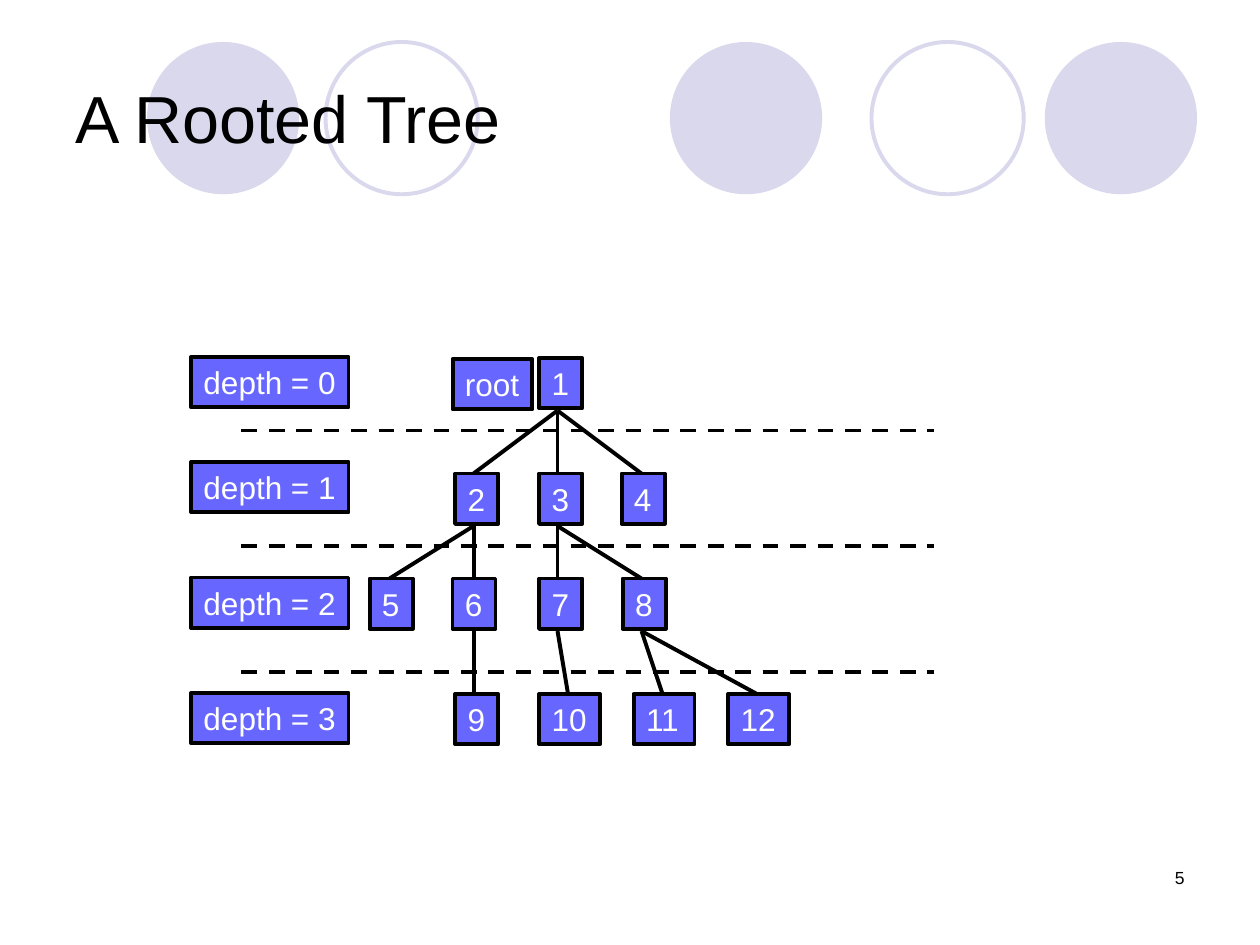
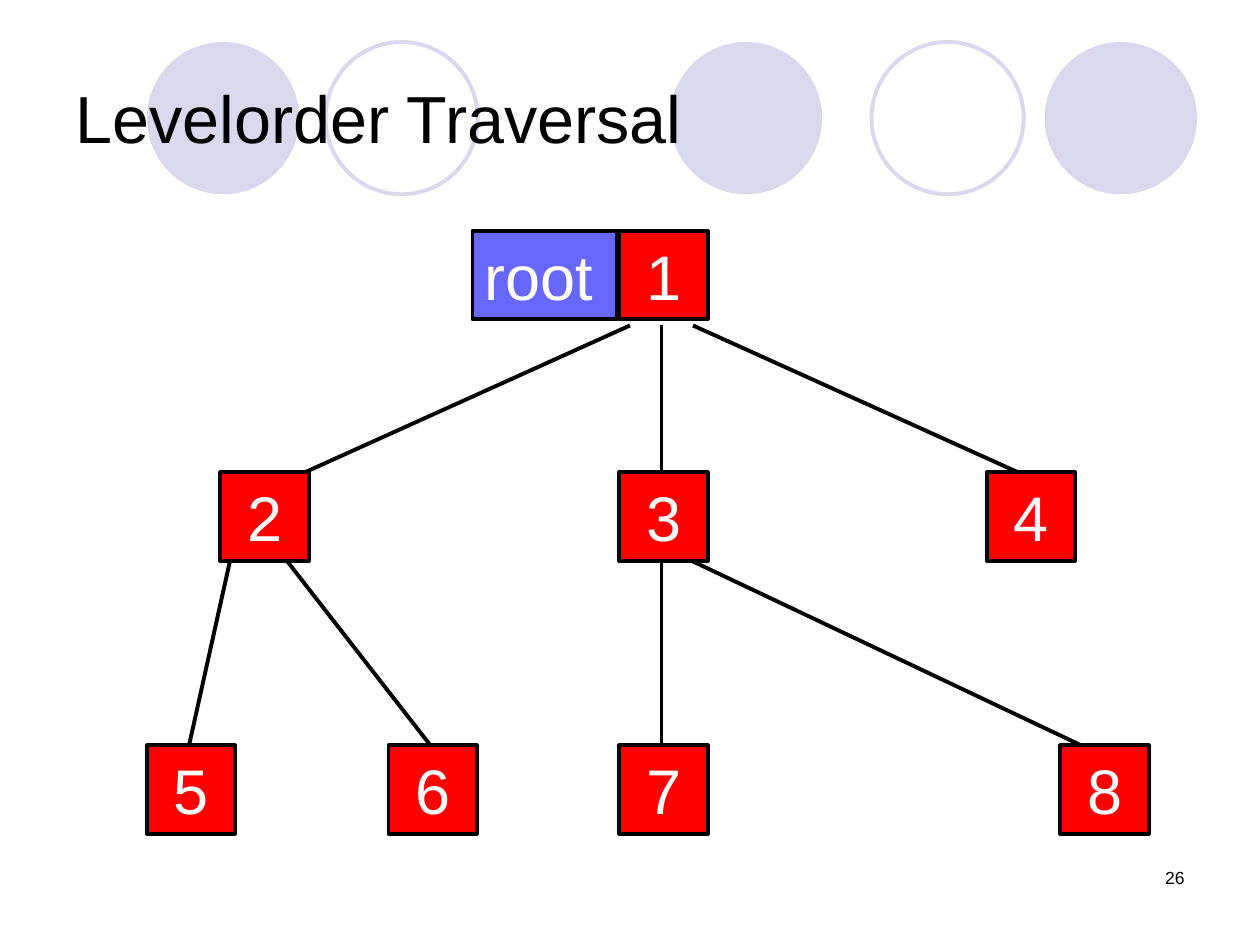
from lxml import etree
from pptx import Presentation
from pptx.dml.color import RGBColor
from pptx.enum.dml import MSO_LINE
from pptx.enum.shapes import MSO_CONNECTOR, MSO_SHAPE
from pptx.enum.text import MSO_ANCHOR, MSO_AUTO_SIZE, PP_ALIGN
from pptx.oxml.ns import qn
from pptx.util import Inches, Pt

BLACK = RGBColor(0x00, 0x00, 0x00)
WHITE = RGBColor(0xFF, 0xFF, 0xFF)
LAVENDER = RGBColor(0xD9, 0xD8, 0xEC)
BLUE = RGBColor(0x67, 0x67, 0xFF)
RED = RGBColor(0xFF, 0x00, 0x00)

OVAL, RECTANGLE = MSO_SHAPE.OVAL, MSO_SHAPE.RECTANGLE
STRAIGHT, DASH = MSO_CONNECTOR.STRAIGHT, MSO_LINE.DASH
TOP, MIDDLE = MSO_ANCHOR.TOP, MSO_ANCHOR.MIDDLE
LEFT, CENTER, RIGHT = PP_ALIGN.LEFT, PP_ALIGN.CENTER, PP_ALIGN.RIGHT
FIT_SHAPE, FIT_NONE = MSO_AUTO_SIZE.SHAPE_TO_FIT_TEXT, MSO_AUTO_SIZE.NONE

FONT = "Arial"
LINE_WIDTH = Pt(2.25)
COLUMNS, ROWS = 120, 90

CIRCLE_TOP, CIRCLE_SIZE = 4, 14.5
FILLED_CIRCLES = (63.8, 99.5, 14)
OPEN_CIRCLES = (83, 31)


def write_text(shape, text, size=18, color=WHITE, align=LEFT, anchor=TOP,
               wrap=True, grow=False):
    frame = shape.text_frame
    frame.word_wrap = wrap
    frame.auto_size = FIT_SHAPE if grow else FIT_NONE
    frame.vertical_anchor = anchor
    paragraph = frame.paragraphs[0]
    paragraph.alignment = align
    run = paragraph.add_run()
    run.text = text
    run.font.name = FONT
    run.font.size = Pt(size)
    run.font.color.rgb = color


class Deck:
    """Shared style and the current slide; lengths are grid columns and rows."""

    def __init__(self, presentation):
        self.presentation = presentation
        self.column = presentation.slide_width / COLUMNS
        self.row = presentation.slide_height / ROWS
        self.slide = None

    def place(self, *lengths):
        """Turn alternating columns and rows into slide lengths."""
        units = (self.column, self.row)
        return [round(length * units[index % 2])
                for index, length in enumerate(lengths)]

    def new_slide(self, title, number):
        layout = self.presentation.slide_layouts[6]
        self.slide = self.presentation.slides.add_slide(layout)
        for left in FILLED_CIRCLES:
            self.circle(left, filled=True)
        for left in OPEN_CIRCLES:
            self.circle(left, filled=False)
        self.text(title, 6, 3.6, 108, 15, size=38, color=BLACK, anchor=MIDDLE)
        self.text(str(number), 86, 82, 28, 6, size=10, color=BLACK, align=RIGHT)

    def text(self, text, left, top, width, height, **text_format):
        box = self.slide.shapes.add_textbox(*self.place(left, top, width, height))
        write_text(box, text, **text_format)

    def shape(self, kind, left, top, width, height, fill=None, line=None):
        shape = self.slide.shapes.add_shape(
            kind, *self.place(left, top, width, height))
        shape.shadow.inherit = False
        if fill is None:
            shape.fill.background()
        else:
            shape.fill.solid()
            shape.fill.fore_color.rgb = fill
        if line is None:
            shape.line.fill.background()
        else:
            shape.line.color.rgb = line
            shape.line.width = LINE_WIDTH
        return shape

    def circle(self, left, filled):
        paint = {"fill": LAVENDER} if filled else {"line": LAVENDER}
        self.shape(OVAL, left, CIRCLE_TOP, CIRCLE_SIZE, CIRCLE_SIZE, **paint)

    def box(self, text, left, top, width, height, fill=BLUE, **text_format):
        shape = self.shape(RECTANGLE, left, top, width, height, fill, BLACK)
        write_text(shape, text, grow=True, **text_format)

    def line(self, start, end, dash=None):
        connector = self.slide.shapes.add_connector(
            STRAIGHT, *self.place(*start, *end))
        connector.line.color.rgb = BLACK
        connector.line.width = LINE_WIDTH
        if dash is not None:
            connector.line.dash_style = dash
        properties = connector.element.find(qn("p:spPr"))
        etree.SubElement(properties, qn("a:effectLst"))


def build_rooted_tree(deck):
    deck.new_slide("A Rooted Tree", 5)
    box_height, edge_drop = 4.8, 5
    level_tops = (34.1, 45.1, 55.1, 66.1)
    # node: (level, left of its box, column where its edges meet)
    nodes = {
        1: (0, 51.35, 53.1),
        2: (1, 43.35, 45.1), 3: (1, 51.35, 53.1), 4: (1, 59.2, 61.1),
        5: (2, 35.2, 37.1), 6: (2, 43.1, 45.1),
        7: (2, 51.35, 53.1), 8: (2, 59.3, 61.1),
        9: (3, 43.35, 45.1), 10: (3, 51.35, 54.1),
        11: (3, 60.35, 63.1), 12: (3, 69.35, 72.1),
    }
    children = {1: (2, 3, 4), 2: (5, 6), 3: (7, 8), 6: (9,), 7: (10,), 8: (11, 12)}

    for node, (level, left, _) in nodes.items():
        width = 4.1 if node < 10 else 5.8
        deck.box(str(node), left, level_tops[level], width, box_height, wrap=False)
    for parent, offspring in children.items():
        level, _, start = nodes[parent]
        for child in offspring:
            child_level, _, end = nodes[child]
            deck.line((start, level_tops[level] + edge_drop),
                      (end, level_tops[child_level]))

    deck.box("root", 43.1, 34.2, 7.6, box_height, wrap=False)
    for depth, top in enumerate((34, 44, 55, 66)):
        deck.box(f"depth = {depth}", 18.2, top, 15, box_height, wrap=False)
    for row in (41, 52, 64):
        deck.line((23, row), (89, row), dash=DASH)


def build_levelorder_traversal(deck):
    deck.new_slide("Levelorder Traversal", 26)
    box_size = 8.4
    level_tops = (22, 45, 71)
    level_bottoms = (31, 53)
    level_lefts = ((59,), (21, 59, 94), (14, 37, 59, 101))
    # columns where each edge leaves a level and reaches the next
    level_edges = (((63, 63), (60, 29), (66, 97)),
                   ((22, 18), (27, 41), (63, 63), (65, 103)))

    for bottom, next_top, edges in zip(level_bottoms, level_tops[1:], level_edges):
        for start, end in edges:
            deck.line((start, bottom), (end, next_top))
    deck.box("root", 45, level_tops[0], 13.8, box_size, size=36)
    node = 1
    for top, lefts in zip(level_tops, level_lefts):
        for left in lefts:
            deck.box(str(node), left, top, box_size, box_size, fill=RED,
                     size=36, align=CENTER)
            node += 1


def main():
    presentation = Presentation()
    presentation.slide_width = Inches(10)
    presentation.slide_height = Inches(7.5)
    deck = Deck(presentation)
    build_rooted_tree(deck)
    build_levelorder_traversal(deck)
    presentation.save("out.pptx")


if __name__ == "__main__":
    main()
